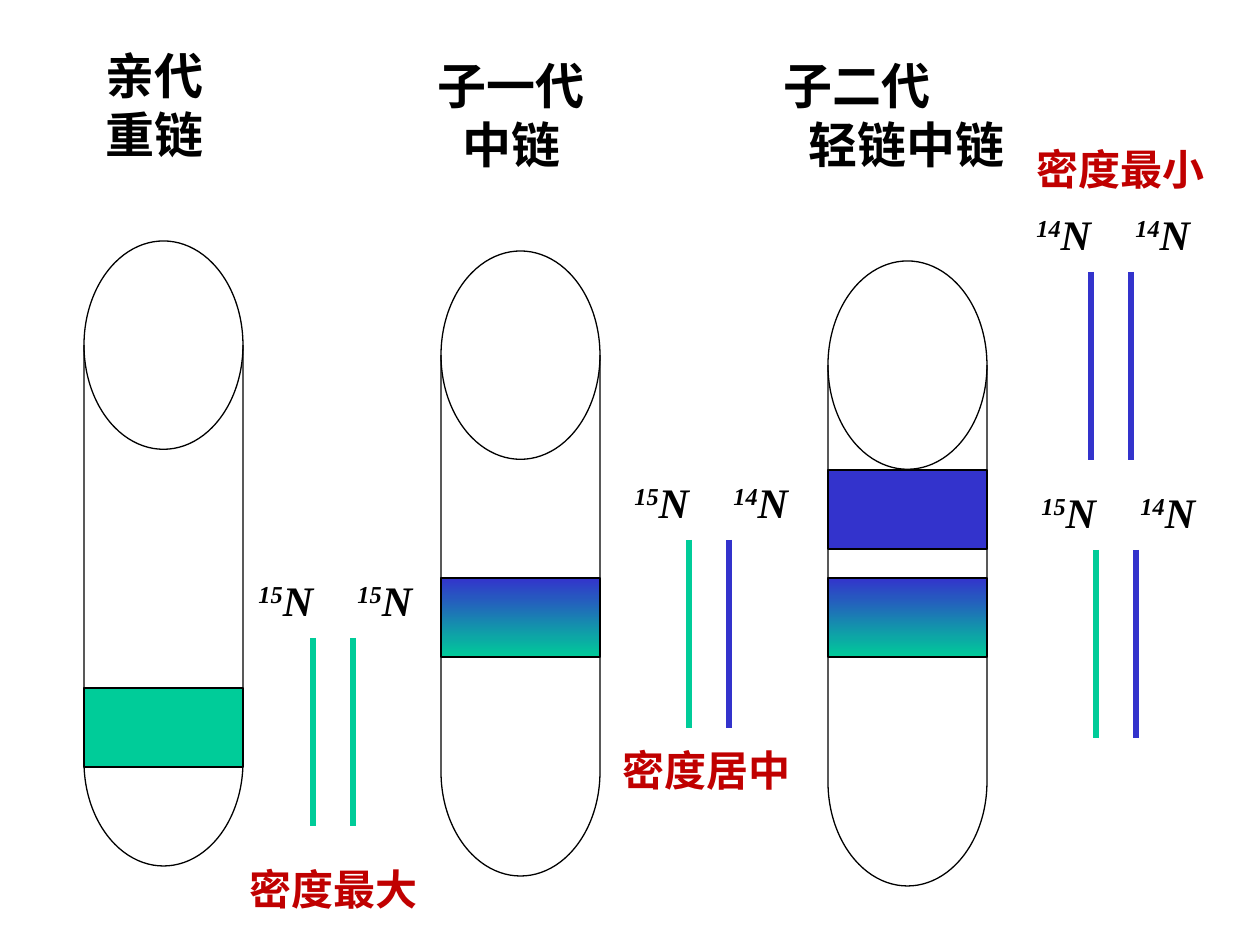
from lxml import etree
from pptx import Presentation
from pptx import util as u
from pptx.dml import color
from pptx.enum import shapes, text
from pptx.oxml import ns

PX = u.Inches(1) // 126
GREEN, BLUE, RED, BLACK = "00CC99", "3333CC", "C00000", "000000"
TUBE_WIDTH, TUBE_HEIGHT, BAND_HEIGHT = 159, 625, 79
STRAND_COLORS = {"15": GREEN, "14": BLUE}


def rgb(value):
    return color.RGBColor.from_string(value)


def write(paragraph, content, size=24, fill=BLACK, italic=False, raised=False):
    for index, line in enumerate(content.split("\n")):
        if index:
            paragraph.add_line_break()
        run = paragraph.add_run()
        run.text = line
        font = run.font
        font.name, font.size, font.bold, font.italic = "Times New Roman", u.Pt(size), True, italic
        font.color.rgb = rgb(fill)
        if raised:
            font._element.set("baseline", "30000")


class Canvas:
    def __init__(self, slide):
        self.slide = slide
        self.outline = 0.75
        self.strand_width = 3

    def shape(self, kind, left, top, width, height, fills=()):
        shape = self.slide.shapes.add_shape(kind, *(v * PX for v in (left, top, width, height)))
        shape.shadow.inherit = False
        shape.line.color.rgb = rgb(BLACK)
        shape.line.width = u.Pt(self.outline)
        if not fills:
            shape.fill.background()
        elif len(fills) == 1:
            shape.fill.solid()
            shape.fill.fore_color.rgb = rgb(fills[0])
        else:
            shape.fill.gradient()
            shape.fill.gradient_angle = 270
            for stop, fill in zip(shape.fill.gradient_stops, fills):
                stop.color.rgb = rgb(fill)

    def tube(self, left, top, bands):
        self.shape(shapes.MSO_SHAPE.FLOWCHART_MAGNETIC_DISK, left, top, TUBE_WIDTH, TUBE_HEIGHT)
        for band_top, fills in bands:
            self.shape(shapes.MSO_SHAPE.RECTANGLE, left, band_top, TUBE_WIDTH, BAND_HEIGHT, fills)

    def textbox(self, left, top, width, height, right_inset=13, parent=None):
        owner = parent or self.slide
        box = owner.shapes.add_textbox(*(v * PX for v in (left, top, width, height)))
        box.text_frame.word_wrap = True
        box.text_frame.margin_right = right_inset * PX
        return box.text_frame.paragraphs[0]

    def heading(self, content, left, top, width, hanging=0):
        paragraph = self.textbox(left, top, width, 131)
        if hanging:
            paragraph.alignment = text.PP_ALIGN.LEFT
            properties = paragraph._p.get_or_add_pPr()
            properties.set("marL", str((hanging + 4) * PX))
            properties.set("indent", str(-hanging * PX))
        else:
            paragraph.alignment = text.PP_ALIGN.CENTER
        write(paragraph, content, size=28)

    def caption(self, content, left, top):
        write(self.textbox(left, top, 207, 63), content, fill=RED)

    def strand(self, group, x, top, bottom, fill):
        line = group.shapes.add_connector(
            shapes.MSO_CONNECTOR.STRAIGHT, x * PX, top * PX, x * PX, bottom * PX)
        line.line.color.rgb = rgb(fill)
        line.line.width = u.Pt(self.strand_width)
        etree.SubElement(line._element.spPr, ns.qn("a:effectLst"))

    def strand_pair(self, left, top, isotopes):
        group = self.slide.shapes.add_group_shape()
        for index, isotope in enumerate(isotopes):
            x = left + 67 + index * 40
            self.strand(group, x, top + 70, top + 258, STRAND_COLORS[isotope])
            label = self.textbox(left + index * 99, top, 79, 63, right_inset=0, parent=group)
            write(label, isotope, italic=True, raised=True)
            write(label, "N", italic=True)


def main():
    presentation = Presentation()
    presentation.slide_width, presentation.slide_height = 1260 * PX, 945 * PX
    canvas = Canvas(presentation.slides.add_slide(presentation.slide_layouts[6]))

    hybrid_band = (578, (BLUE, GREEN))
    canvas.tube(84, 241, [(688, (GREEN,))])
    canvas.tube(441, 251, [hybrid_band])
    canvas.tube(828, 261, [(470, (BLUE,)), hybrid_band])

    canvas.heading("亲代\n重链", 79, 39, 151)
    canvas.heading("子一代\n中链", 413, 49, 197)
    canvas.heading("子二代\n轻链中链", 767, 49, 256, hanging=25)

    for left, top, isotopes in (
        (246, 568, ("15", "15")),
        (622, 470, ("15", "14")),
        (1029, 480, ("15", "14")),
        (1024, 202, ("14", "14")),
    ):
        canvas.strand_pair(left, top, isotopes)

    canvas.caption("密度最大", 237, 857)
    canvas.caption("密度居中", 610, 738)
    canvas.caption("密度最小", 1024, 137)
    presentation.save("out.pptx")


if __name__ == "__main__":
    main()
